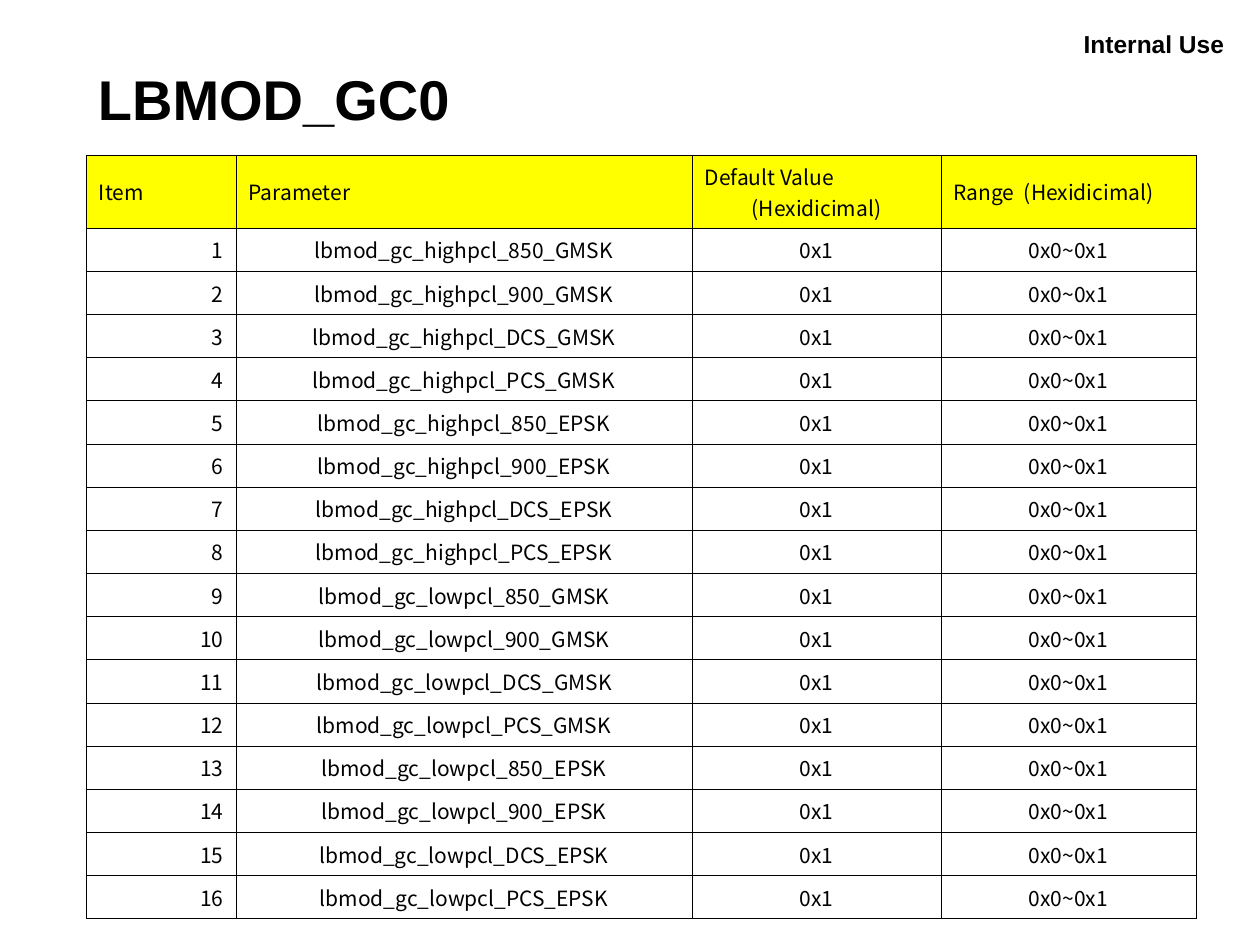
"""Build the LBMOD_GC0 parameter table slide."""
from dataclasses import dataclass
from itertools import product

from lxml import etree
from pptx import Presentation
from pptx import util as u
from pptx.dml.color import RGBColor
from pptx.enum import text as t
from pptx.oxml.ns import qn

COLORS = {"ink": "000000", "header": "FFFF00"}
HEADING_FONT, TABLE_FONT = "Arial", "Noto Sans CJK TC"
HANGING = u.Cm(0.95)
HEADER_HEIGHT, ROW_HEIGHT = u.Cm(1.47), u.Cm(0.87)
BORDER_WIDTH = u.Pt(0.45)


@dataclass(frozen=True)
class Column:
    heading: str
    width: u.Length
    align: t.PP_ALIGN


COLUMNS = (
    Column("Item", u.Cm(3.02), t.PP_ALIGN.RIGHT),
    Column("Parameter", u.Cm(9.19), t.PP_ALIGN.CENTER),
    Column("Default Value (Hexidicimal)", u.Cm(5.02), t.PP_ALIGN.CENTER),
    Column("Range  (Hexidicimal)", u.Cm(5.14), t.PP_ALIGN.CENTER),
)
PARAMETERS = [
    f"lbmod_gc_{level}_{band}_{modulation}"
    for level, modulation, band in product(
        ("highpcl", "lowpcl"), ("GMSK", "EPSK"), ("850", "900", "DCS", "PCS")
    )
]
ROWS = [
    (str(item), parameter, "0x1", "0x0~0x1")
    for item, parameter in enumerate(PARAMETERS, start=1)
]


def write(frame, content: str, *, size: float, font: str, bold: bool = False,
          align=t.PP_ALIGN.LEFT, hanging: int = 0) -> None:
    para = frame.paragraphs[0]
    para.alignment = align
    if hanging:
        properties = para._p.get_or_add_pPr()
        properties.set("marL", str(hanging))
        properties.set("indent", str(-hanging))
    span = para.add_run()
    span.text = content
    span.font.size = u.Pt(size)
    span.font.name = font
    span.font.bold = bold
    span.font.color.rgb = RGBColor.from_string(COLORS["ink"])
    east_asian = etree.SubElement(span.font._element, qn("a:ea"))
    east_asian.set("typeface", font)


def draw_borders(cell) -> None:
    properties = cell._tc.get_or_add_tcPr()
    for side in ("lnL", "lnR", "lnT", "lnB"):
        line = etree.SubElement(properties, qn(f"a:{side}"), w=str(BORDER_WIDTH))
        fill = etree.SubElement(line, qn("a:solidFill"))
        etree.SubElement(fill, qn("a:srgbClr"), val=COLORS["ink"])


def fill_cell(cell, content: str, align, is_header: bool) -> None:
    draw_borders(cell)
    if is_header:
        cell.fill.solid()
        cell.fill.fore_color.rgb = RGBColor.from_string(COLORS["header"])
    else:
        cell.fill.background()
    cell.vertical_anchor = t.MSO_ANCHOR.MIDDLE
    write(cell.text_frame, content, size=12, font=TABLE_FONT, align=align,
          hanging=HANGING)


def add_parameter_table(page) -> None:
    width = sum(column.width for column in COLUMNS)
    height = HEADER_HEIGHT + ROW_HEIGHT * len(ROWS)
    table = page.shapes.add_table(len(ROWS) + 1, len(COLUMNS), u.Cm(1.74),
                                  u.Cm(3.13), width, height).table
    table.first_row = table.horz_banding = False
    for row in table.rows:
        row.height = ROW_HEIGHT
    table.rows[0].height = HEADER_HEIGHT
    for index, column in enumerate(COLUMNS):
        table.columns[index].width = column.width
        fill_cell(table.cell(0, index), column.heading, t.PP_ALIGN.LEFT, True)
        for number, values in enumerate(ROWS, start=1):
            fill_cell(table.cell(number, index), values[index], column.align, False)


def add_title(page) -> None:
    title = page.shapes.title
    title.left, title.top = u.Cm(1.72), u.Cm(1.07)
    title.width, title.height = u.Cm(22.38), u.Cm(1.83)
    frame = title.text_frame
    frame.auto_size = t.MSO_AUTO_SIZE.NONE
    frame.vertical_anchor = t.MSO_ANCHOR.MIDDLE
    write(frame, "LBMOD_GC0", size=32, font=HEADING_FONT, bold=True)


def add_classification(page) -> None:
    box = page.shapes.add_textbox(u.Cm(21.02), u.Cm(0.46), u.Cm(3.91), u.Cm(0.86))
    frame = box.text_frame
    frame.word_wrap = True
    frame.auto_size = t.MSO_AUTO_SIZE.SHAPE_TO_FIT_TEXT
    write(frame, "Internal Use", size=14, font=HEADING_FONT, bold=True,
          align=t.PP_ALIGN.RIGHT)


def main() -> None:
    deck = Presentation()
    deck.slide_width, deck.slide_height = u.Cm(25.4), u.Cm(19.05)
    page = deck.slides.add_slide(deck.slide_layouts[5])
    add_classification(page)
    add_title(page)
    add_parameter_table(page)
    deck.save("out.pptx")


if __name__ == "__main__":
    main()
